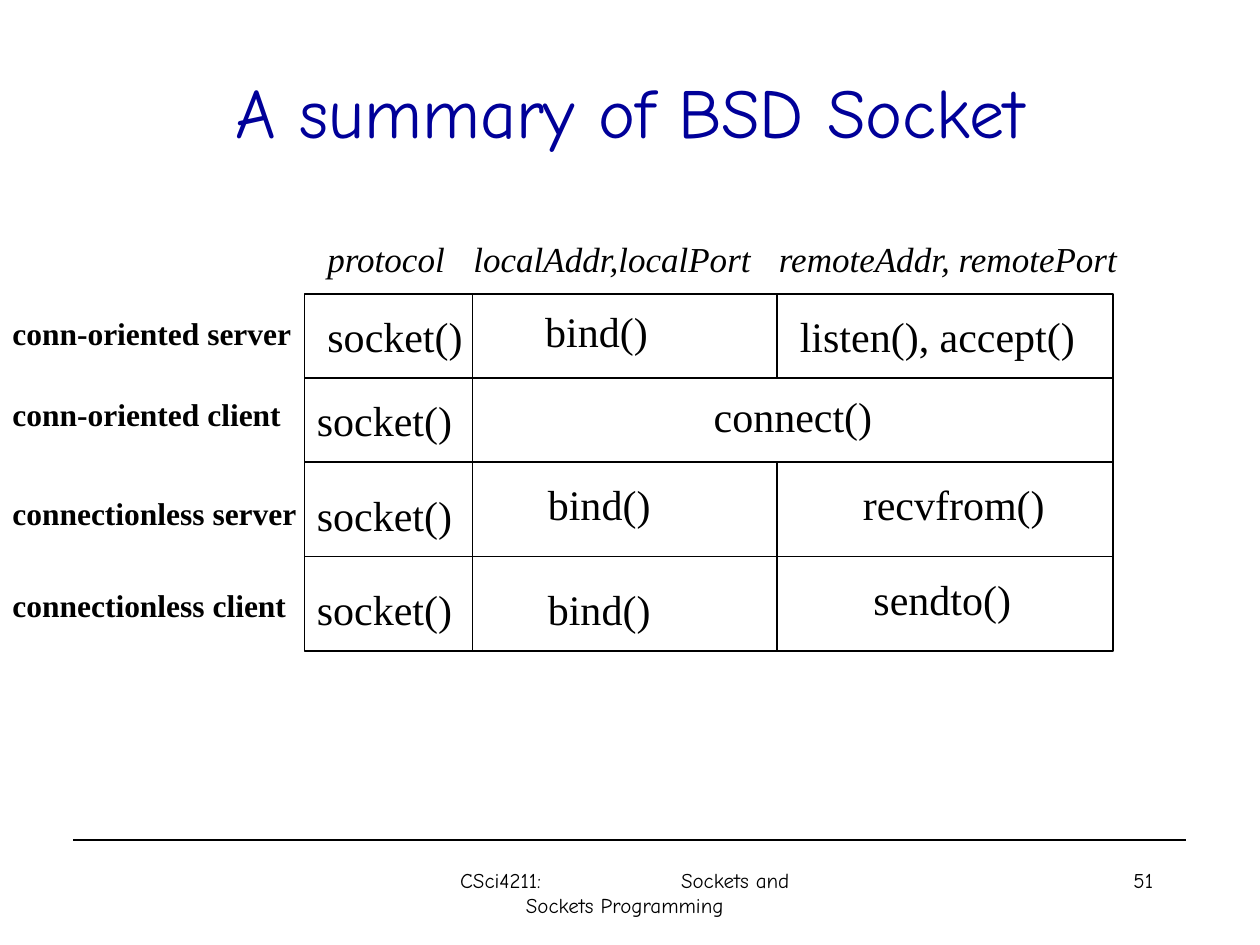
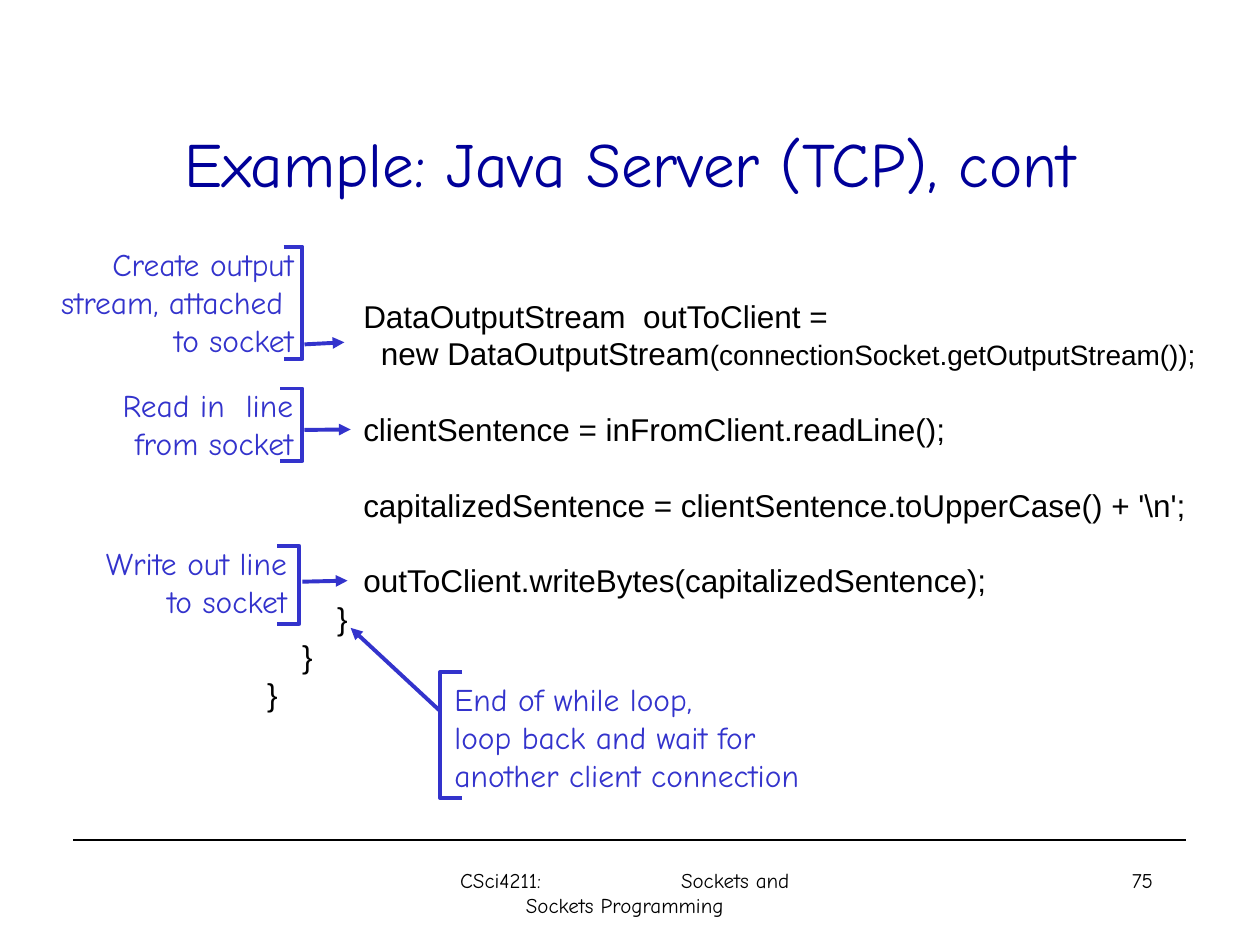
"""Build two lecture slides on socket programming."""
import dataclasses
import pptx
import pptx.dml.color
import pptx.enum.shapes
import pptx.enum.text
import pptx.oxml
import pptx.util

COLS, ROWS = 120, 90
INK = {"text": "000000", "title": "000099", "note": "3333CC"}
FONT = {"main": "Comic Neue", "cell": "Times New Roman", "code": "Arial"}
ALIGN = {"l": pptx.enum.text.PP_ALIGN.LEFT,
         "c": pptx.enum.text.PP_ALIGN.CENTER,
         "r": pptx.enum.text.PP_ALIGN.RIGHT}
ANCHOR = pptx.enum.text.MSO_ANCHOR


def tint(name):
    return pptx.dml.color.RGBColor.from_string(INK[name])


@dataclasses.dataclass
class Deck:
    file: object
    slide: object = None

    def x(self, col):
        return round(self.file.slide_width * col / COLS)

    def y(self, row):
        return round(self.file.slide_height * row / ROWS)

    def frame(self, left, top, wide, high):
        return self.x(left), self.y(top), self.x(wide), self.y(high)

    def page(self, title, top, size, number):
        self.slide = self.file.slides.add_slide(self.file.slide_layouts[6])
        self.line((7, 80), (113, 80))
        foot = self.text((40, 82, 39, 6), [], 12)
        para = self.para(foot, "c")
        self.run(para, "CSci4211:", 12)
        gap = self.run(para, " ", 12)
        gap.font._element.set("spc", "7600")
        self.run(para, "Sockets and Sockets Programming", 12)
        self.text((86, 82, 25, 6), [number], 12, align="r")
        self.text((9, top, 102, 15), [title], size, ink="title", align="c",
                  anchor=ANCHOR.MIDDLE)

    def para(self, frame, align="l", pitch=None):
        first = frame.paragraphs[0]
        para = frame.add_paragraph() if first.runs else first
        para.alignment = ALIGN[align]
        if pitch:
            para.line_spacing = pptx.util.Pt(pitch)
        return para

    def run(self, para, words, size, font="main", ink="text",
            bold=False, slant=False):
        run = para.add_run()
        run.text = words
        run.font.name = FONT[font]
        run.font.size = pptx.util.Pt(size)
        run.font.color.rgb = tint(ink)
        run.font.bold, run.font.italic = bold, slant
        return run

    def text(self, box, lines, size, align="l", anchor=ANCHOR.TOP,
             wrap=True, pitch=None, **style):
        frame = self.slide.shapes.add_textbox(*self.frame(*box)).text_frame
        frame.word_wrap = wrap
        frame.vertical_anchor = anchor
        if not wrap:
            frame.auto_size = pptx.enum.text.MSO_AUTO_SIZE.SHAPE_TO_FIT_TEXT
        for words in lines:
            self.run(self.para(frame, align, pitch), words, size, **style)
        return frame

    def label(self, words, left, top, wide, size=24, **style):
        high = size * 0.2 + 1.2
        self.text((left, top, wide, high), [words], size, wrap=False,
                  font="cell", **style)

    def line(self, start, end, ink="text", width=0.75, arrow=False):
        line = self.slide.shapes.add_connector(
            pptx.enum.shapes.MSO_CONNECTOR.STRAIGHT,
            self.x(start[0]), self.y(start[1]), self.x(end[0]), self.y(end[1]))
        line.line.color.rgb = tint(ink)
        line.line.width = pptx.util.Pt(width)
        if arrow:
            line.line._get_or_add_ln().append(pptx.oxml.parse_xml(
                f'<a:tailEnd {pptx.oxml.ns.nsdecls("a")} type="triangle"/>'))
        line._element.spPr.append(pptx.oxml.parse_xml(
            f'<a:effectLst {pptx.oxml.ns.nsdecls("a")}/>'))

    def rect(self, box):
        rect = self.slide.shapes.add_shape(
            pptx.enum.shapes.MSO_SHAPE.RECTANGLE, *self.frame(*box))
        self.trim(rect, "text", 0.75)

    def trim(self, shape, ink, width):
        shape.shadow.inherit = False
        shape.fill.background()
        shape.line.color.rgb = tint(ink)
        shape.line.width = pptx.util.Pt(width)

    def brace(self, side, top, high, arm):
        spots = [(side - arm, top), (side, top), (side, top + high),
                 (side - arm, top + high)]
        ends = [(self.x(col), self.y(row)) for col, row in spots]
        path = self.slide.shapes.build_freeform(*ends[0])
        path.add_line_segments(ends[1:], close=False)
        self.trim(path.convert_to_shape(), "note", 2.25)

    def note(self, lines, box, brace, start, end, align="r", wrap=False):
        self.text(box, lines, 18, align, ANCHOR.MIDDLE, wrap, pitch=21.6,
                  ink="note")
        self.brace(*brace)
        self.line(start, end, "note", 2.25, arrow=True)

    def code(self, box, inset, rows, pitch):
        frame = self.text(box, [], 18)
        frame.margin_top = self.y(inset)
        for indent, gap, runs in rows:
            para = self.para(frame, pitch=pitch)
            para.space_before = pptx.util.Pt(gap * pitch)
            para._p.get_or_add_pPr().set("marL", str(pptx.util.Pt(indent * 5)))
            for words, size in runs:
                self.run(para, words, size, "code")


deck = Deck(pptx.Presentation())
deck.file.slide_width = pptx.util.Inches(10)
deck.file.slide_height = pptx.util.Inches(7.5)

deck.page("A summary of BSD Socket", 3, 40, "51")
left, bind, remote, right = 29, 45, 74, 106
top, *rules, base = 28, 36, 44, 53, 62
deck.rect((left, top, right - left, base - top))
for row in rules:
    deck.line((left, row), (right, row))
deck.line((bind, top), (bind, base))
deck.line((remote, top), (remote, rules[0]))
deck.line((remote, rules[1]), (remote, base))

for col, row in [(30, 29), (29, 37), (29, 46), (29, 55)]:
    deck.label("socket()", col, row, 15.5)
for col, row in [(50.75, 28.5), (51, 45), (51, 55)]:
    deck.label("bind()", col, row, 12.3)
for call in [("listen(), accept()", 75, 29, 29), ("recvfrom()", 81, 45, 19.7),
             ("sendto()", 82, 54, 15.5), ("connect()", 66.8, 36.6, 17.5)]:
    deck.label(*call)
for words, col, wide in [("protocol", 30, 13.7),
                         ("localAddr,localPort", 43.9, 29.2),
                         ("remoteAddr, remotePort", 73, 35.2)]:
    deck.label(words, col, 22, wide, 20, slant=True)
for words, row, wide in [("conn-oriented server", 29.3, 29),
                         ("conn-oriented client", 37, 28),
                         ("connectionless server", 46.5, 29.5),
                         ("connectionless client", 55.2, 28.5)]:
    deck.label(words, 0, row, wide, 18, bold=True)

deck.page("Example: Java Server (TCP), cont", 8, 36, "75")
deck.code((24.25, 21.25, 91.8, 52), 7, [
    (11, 0, [("DataOutputStream  outToClient =", 18)]),
    (13, 0, [("new DataOutputStream", 18),
             ("(connectionSocket.getOutputStream());", 16)]),
    (11, 1, [("clientSentence = inFromClient.readLine();", 18)]),
    (11, 1, [("capitalizedSentence = clientSentence.toUpperCase() + '\\n';",
              18)]),
    (11, 1, [("outToClient.writeBytes(capitalizedSentence);", 18)]),
    (8, 0, [("}", 18)]),
    (4, 0, [("}", 18)]),
    (0, 0, [("}", 18)])], 21.6)
deck.note(["Read in  line", "from socket"], (9.7, 36.2, 19.4, 8.4),
          (28.8, 37, 6.9, 2.1), (29, 40.95), (33.4, 40.9))
deck.note(["Create output", "stream, attached ", "to socket"],
          (1.7, 22.75, 27.45, 12), (28.8, 23.5, 10.7, 1.8),
          (29, 32.8), (32.8, 32.6), wrap=True)
deck.note(["Write out line", "to socket"], (6.5, 51.2, 22, 8.4),
          (28.5, 52, 7.4, 2.1), (28.8, 55.4), (33.1, 55.3))
deck.note(["End of while loop,", "loop back and wait for",
           "another client connection"], (42.1, 64.2, 37.8, 12),
          (41.9, 64, 12, -2.1), (41.9, 67.7), (33.4, 59.8), align="l")

deck.file.save("out.pptx")
